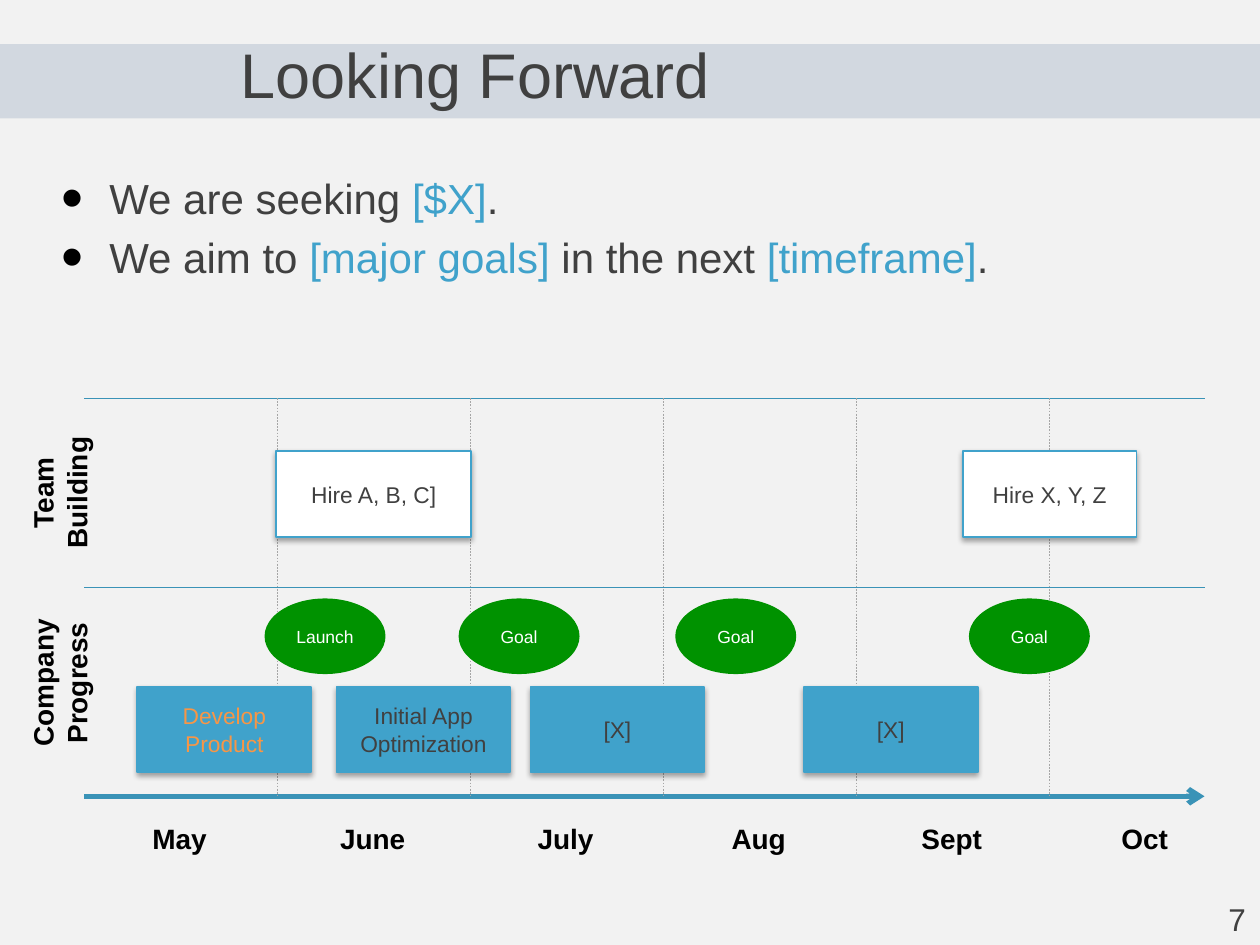
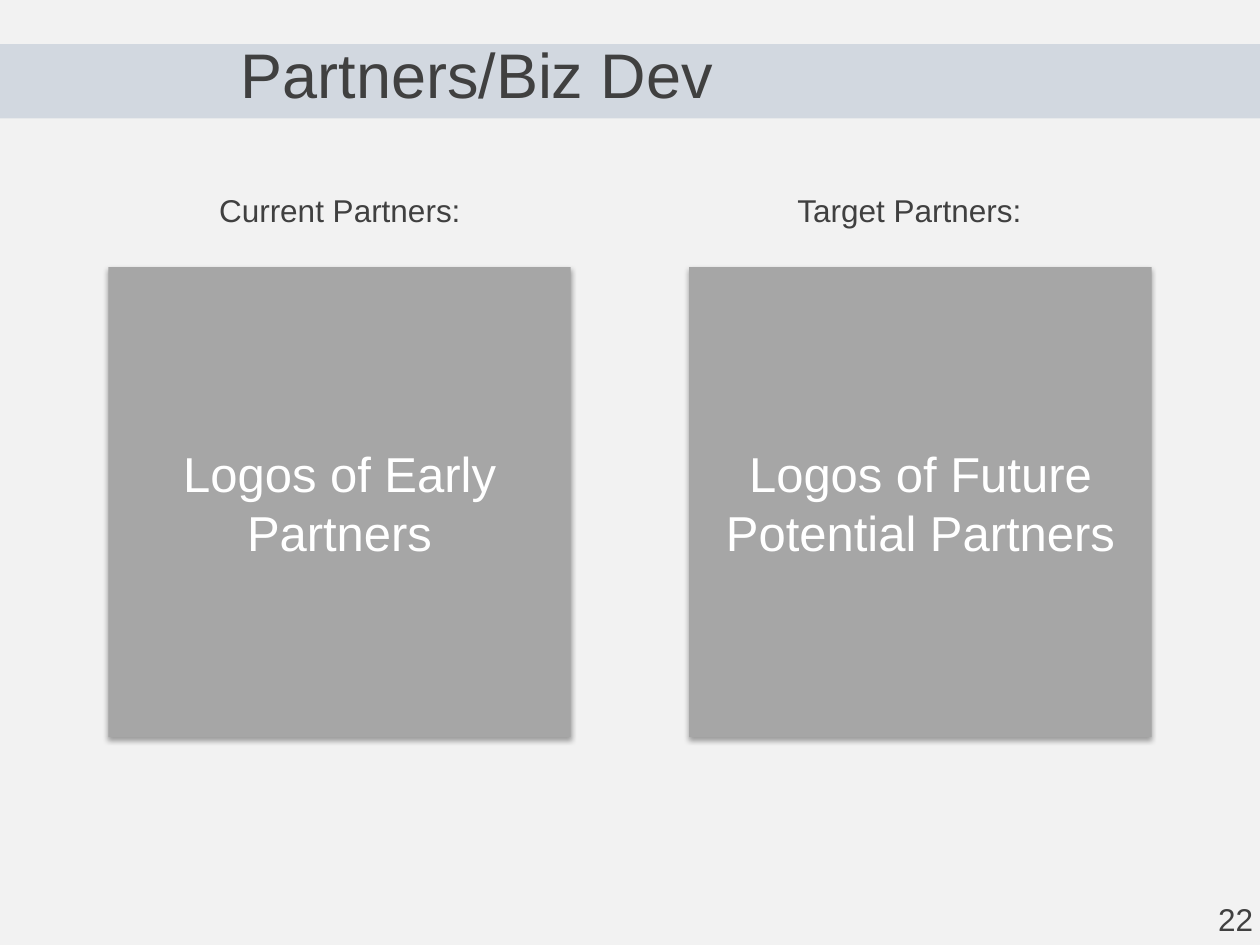
import pptx
import pptx.dml.color
import pptx.enum.dml
import pptx.enum.shapes
import pptx.enum.text
import pptx.oxml.ns
import pptx.util
from lxml import etree

Inches = pptx.util.Inches
Pt = pptx.util.Pt
qn = pptx.oxml.ns.qn
SHAPE = pptx.enum.shapes.MSO_SHAPE
ALIGN = pptx.enum.text.PP_ALIGN
ANCHOR = pptx.enum.text.MSO_ANCHOR
FIT = pptx.enum.text.MSO_AUTO_SIZE

FONT = "Arial"
COLORS = {
    "page": "F2F2F2",
    "band": "1F497D",
    "text": "404040",
    "black": "000000",
    "white": "FFFFFF",
    "blue": "40A2CB",
    "axis": "3A93B7",
    "gray": "A6A6A6",
    "green": "009200",
    "orange": "F79646",
}

# Timeline geometry, in inches
AXIS_LEFT, AXIS_RIGHT = 0.67, 9.56
TIMELINE_TOP, LANE_SPLIT, AXIS_Y = 3.16, 4.66, 6.32
MONTHS = ["May", "June", "July", "Aug", "Sept", "Oct"]
MONTH_STEP = (8.33 - AXIS_LEFT) / (len(MONTHS) - 1)
LABEL_WIDTH = 1.51


def rgb(name):
    return pptx.dml.color.RGBColor.from_string(COLORS[name])


def child(parent, tag, **attributes):
    element = etree.SubElement(parent, qn(tag))
    for key, value in attributes.items():
        element.set(key, str(value))
    return element


def style_font(span, size, color, bold=False):
    span.font.name = FONT
    span.font.size = Pt(size)
    span.font.bold = bold
    span.font.color.rgb = rgb(color)


def set_text(box, text, size, color="text", bold=False, align=ALIGN.LEFT):
    box.text_frame.text = text
    para = box.text_frame.paragraphs[0]
    para.alignment = align
    for span in para.runs:
        style_font(span, size, color, bold)


def add_label(page, text, left, top, width, height, size=18, color="text",
              bold=False, align=ALIGN.LEFT, wrap=False):
    box = page.shapes.add_textbox(Inches(left), Inches(top), Inches(width), Inches(height))
    box.text_frame.word_wrap = wrap
    box.text_frame.auto_size = FIT.SHAPE_TO_FIT_TEXT
    set_text(box, text, size, color, bold, align)
    return box


def add_timeline_label(page, text, left, top, height, rotation=0):
    box = add_label(page, text, left, top, LABEL_WIDTH, height, 16, "black",
                    bold=True, align=ALIGN.CENTER, wrap=True)
    box.rotation = rotation


def add_block(page, kind, left, top, width, height, fill, outline=None):
    block = page.shapes.add_shape(kind, Inches(left), Inches(top), Inches(width), Inches(height))
    block.shadow.inherit = False
    block.fill.solid()
    block.fill.fore_color.rgb = rgb(fill)
    if outline:
        block.line.color.rgb = rgb(outline)
        block.line.width = Pt(1)
    else:
        block.line.fill.background()
    return block


def add_text_block(page, kind, text, left, top, width, height, fill, size,
                   color="text", outline=None, shadow=True):
    block = add_block(page, kind, left, top, width, height, fill, outline)
    block.text_frame.word_wrap = True
    block.text_frame.vertical_anchor = ANCHOR.MIDDLE
    set_text(block, text, size, color, align=ALIGN.CENTER)
    if shadow:
        add_shadow(block)


def add_shadow(block):
    effects = block.element.spPr.find(qn("a:effectLst"))
    shadow = child(effects, "a:outerShdw", blurRad=Pt(3.1), dist=Pt(1.8),
                   dir=90 * 60000, rotWithShape=0)
    shade = child(shadow, "a:srgbClr", val=COLORS["black"])
    child(shade, "a:alpha", val=35000)


def add_line(page, start, end, color, width, dashed=False, arrow=False):
    line = page.shapes.add_connector(
        pptx.enum.shapes.MSO_CONNECTOR.STRAIGHT,
        *(Inches(length) for length in (*start, *end)))
    line.line.color.rgb = rgb(color)
    line.line.width = Pt(width)
    if dashed:
        line.line.dash_style = pptx.enum.dml.MSO_LINE.DASH
    properties = line.element.spPr
    if arrow:
        child(properties.find(qn("a:ln")), "a:tailEnd", type="arrow")
    child(properties, "a:effectLst")


def add_bullets(page, left, top, width, height, items):
    """Each item is a list of (text, color) pairs."""
    box = page.shapes.add_textbox(Inches(left), Inches(top), Inches(width), Inches(height))
    frame = box.text_frame
    frame.word_wrap = True
    for index, item in enumerate(items):
        para = frame.add_paragraph() if index else frame.paragraphs[0]
        if index:
            para.space_before = Pt(4.8)
        settings = para._p.get_or_add_pPr()
        settings.set("marL", str(Inches(0.38)))
        settings.set("indent", str(-Inches(0.38)))
        child(child(settings, "a:buClr"), "a:srgbClr", val=COLORS["black"])
        child(settings, "a:buSzPct", val=150000)
        child(settings, "a:buFont", typeface=FONT)
        child(settings, "a:buChar", char="•")
        for text, color in item:
            span = para.add_run()
            span.text = text
            style_font(span, 24, color)


def add_page(deck, title_text, number, number_left, number_width):
    page = deck.slides.add_slide(deck.slide_layouts[5])
    page.background.fill.solid()
    page.background.fill.fore_color.rgb = rgb("page")

    # Title
    title = page.shapes.title
    title.left, title.top = Inches(1.81), Inches(0.35)
    title.width, title.height = Inches(6.7), Inches(0.59)
    title.text_frame.auto_size = FIT.NONE
    title.text_frame.vertical_anchor = ANCHOR.TOP
    set_text(title, title_text, 36)
    title.text_frame.paragraphs[0].line_spacing = 0.8

    # Translucent band behind the title
    band = add_block(page, SHAPE.RECTANGLE, 0, 0.35, 10, 0.59, "band")
    child(band.element.spPr.find(".//" + qn("a:srgbClr")), "a:alpha", val=15000)
    title.element.addprevious(band.element)

    # Page number
    add_label(page, number, number_left, 7.09, number_width, 0.4)
    return page


def add_timeline_grid(page):
    add_line(page, (AXIS_LEFT, AXIS_Y), (AXIS_RIGHT, AXIS_Y), "axis", 3, arrow=True)
    for y in (TIMELINE_TOP, LANE_SPLIT):
        add_line(page, (AXIS_LEFT, y), (AXIS_RIGHT, y), "axis", 0.25)
    for text, top in (("Team Building", 3.59), ("Company Progress", 5.1)):
        add_timeline_label(page, text, -0.28, top, 0.64, rotation=270)
    for index, month in enumerate(MONTHS):
        left = AXIS_LEFT + index * MONTH_STEP
        add_timeline_label(page, month, left, 6.47, 0.37)
        if index:
            add_line(page, (left, TIMELINE_TOP), (left, AXIS_Y), "gray", 0.25, dashed=True)


def build_looking_forward(deck):
    page = add_page(deck, "Looking Forward", "7", 9.65, 0.34)
    add_bullets(page, 0.39, 1.32, 9.13, 2.25, [
        [("We are seeking ", "text"), ("[$X]", "blue"), (".", "text")],
        [("We aim to", "text"), (" [major goals]", "blue"), (" in the next", "text"),
         (" [timeframe]", "blue"), (".", "text")],
    ])
    add_timeline_grid(page)

    # Hires
    for text, left, width in (("Hire A, B, C]", 2.19, 1.55), ("Hire X, Y, Z", 7.64, 1.38)):
        add_text_block(page, SHAPE.RECTANGLE, text, left, 3.58, width, 0.68,
                       "white", 13, outline="blue")

    # Work phases
    phases = [("Develop Product", 1.09, "orange"), ("Initial App Optimization", 2.67, "text"),
              ("[X]", 4.21, "text"), ("[X]", 6.38, "text")]
    for text, left, color in phases:
        add_text_block(page, SHAPE.RECTANGLE, text, left, 5.45, 1.38, 0.68,
                       "blue", 13, color, outline="blue")

    # Milestones
    for text, left in (("Launch", 2.1), ("Goal", 3.64), ("Goal", 5.36), ("Goal", 7.69)):
        add_text_block(page, SHAPE.OVAL, text, left, 4.75, 0.96, 0.6,
                       "green", 10, "white", shadow=False)


def build_partners(deck):
    page = add_page(deck, "Partners/Biz Dev", "22", 9.57, 0.48)
    columns = [
        ("Current Partners:", 1.64, 2.12, "Logos of Early Partners", 0.86),
        ("Target Partners:", 6.23, 2.01, "Logos of Future Potential Partners", 5.47),
    ]
    for heading, heading_left, heading_width, text, left in columns:
        add_label(page, heading, heading_left, 1.47, heading_width, 0.4)
        add_text_block(page, SHAPE.RECTANGLE, text, left, 2.12, 3.67, 3.73,
                       "gray", 28, "white")


def main():
    deck = pptx.Presentation()
    deck.slide_width, deck.slide_height = Inches(10), Inches(7.5)
    build_looking_forward(deck)
    build_partners(deck)
    deck.save("out.pptx")


if __name__ == "__main__":
    main()
